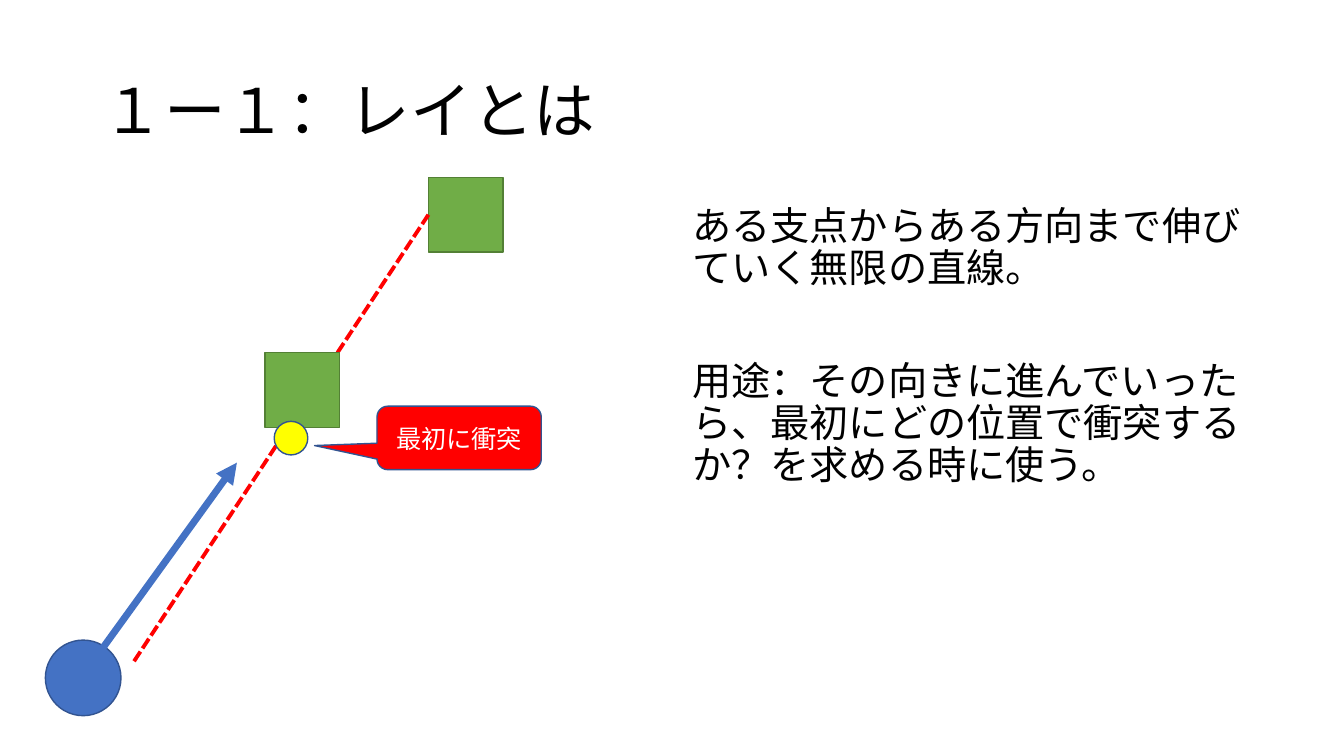
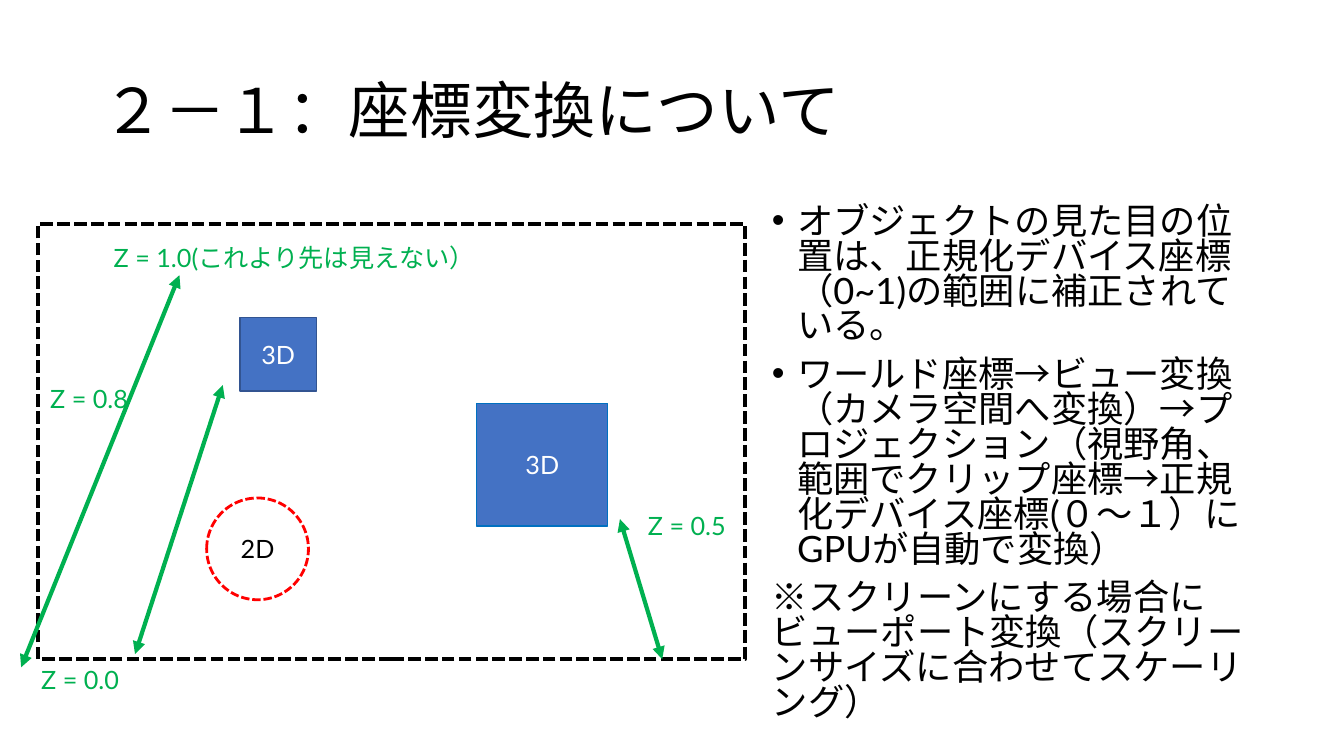
from dataclasses import dataclass

from lxml import etree
from pptx import Presentation
from pptx import util as u
from pptx.dml.color import RGBColor
from pptx.enum import dml, shapes, text
from pptx.oxml.ns import qn

ROWS = 22.5
WIDTH, HEIGHT = u.Inches(13.333), u.Inches(7.5)
CELL = HEIGHT / ROWS

FONT = "Lato"
BLACK = RGBColor(0x00, 0x00, 0x00)
WHITE = RGBColor(0xFF, 0xFF, 0xFF)
BLUE = RGBColor(0x44, 0x72, 0xC4)
BLUE_EDGE = RGBColor(0x32, 0x54, 0x91)
BRIGHT_EDGE = RGBColor(0x00, 0x70, 0xC0)
RED = RGBColor(0xFF, 0x00, 0x00)
YELLOW = RGBColor(0xFF, 0xFF, 0x00)
LEAF = RGBColor(0x70, 0xAD, 0x47)
LEAF_EDGE = RGBColor(0x53, 0x80, 0x35)
DEPTH_GREEN = RGBColor(0x00, 0xB0, 0x50)

SHAPE = shapes.MSO_SHAPE
DASH = dml.MSO_LINE.SQUARE_DOT
LABEL_SIZE = 18


@dataclass
class Box:
    """A region of the slide, measured in grid cells."""
    left: float
    top: float
    width: float
    height: float

    def inner(self, left, top, width, height):
        return Box(self.left + left, self.top + top, width, height)

    def point(self, x, y):
        return cells(self.left + x), cells(self.top + y)

    def frame(self):
        return [cells(n) for n in (self.left, self.top, self.width, self.height)]


TITLE_BOX = Box(2.76, 1.2, 34.5, 4.35)


def cells(count):
    return u.Emu(round(count * CELL))


def add_run(paragraph, words, size, color):
    run = paragraph.add_run()
    run.text = words
    run.font.name = FONT
    run.font.size = u.Pt(size)
    run.font.color.rgb = color


def add_text(slide, box, paragraphs, size, color=BLACK, spacing=1.0,
             anchor=text.MSO_ANCHOR.TOP):
    """Paragraphs are (words, space before, bulleted)."""
    frame = slide.shapes.add_textbox(*box.frame()).text_frame
    frame.word_wrap = True
    frame.vertical_anchor = anchor
    for index, (words, before, bulleted) in enumerate(paragraphs):
        paragraph = frame.add_paragraph() if index else frame.paragraphs[0]
        paragraph.line_spacing = spacing
        paragraph.space_before = u.Pt(before)
        if bulleted:
            add_bullet(paragraph)
        add_run(paragraph, words, size, color)


def add_bullet(paragraph):
    properties = paragraph._p.get_or_add_pPr()
    indent = u.Inches(0.25)
    properties.set("marL", str(indent))
    properties.set("indent", str(-indent))
    etree.SubElement(properties, qn("a:buFont"), typeface="Arial")
    etree.SubElement(properties, qn("a:buChar"), char="•")


def add_figure(slide, kind, box, fill, edge, weight=1, dash=None,
               words="", color=WHITE):
    shape = slide.shapes.add_shape(kind, *box.frame())
    shape.shadow.inherit = False
    if fill is None:
        shape.fill.background()
    else:
        shape.fill.solid()
        shape.fill.fore_color.rgb = fill
    shape.line.color.rgb = edge
    shape.line.width = u.Pt(weight)
    if dash:
        shape.line.dash_style = dash
    if words:
        frame = shape.text_frame
        frame.vertical_anchor = text.MSO_ANCHOR.MIDDLE
        frame.paragraphs[0].alignment = text.PP_ALIGN.CENTER
        add_run(frame.paragraphs[0], words, LABEL_SIZE, color)
    return shape


def add_line(slide, start, end, color, weight, dash=None, arrowheads=()):
    """Arrowheads may name headEnd (at start) and tailEnd (at end), in that order."""
    line = slide.shapes.add_connector(shapes.MSO_CONNECTOR.STRAIGHT, *start, *end)
    line.line.color.rgb = color
    line.line.width = u.Pt(weight)
    if dash:
        line.line.dash_style = dash
    for name in arrowheads:
        etree.SubElement(line.line._get_or_add_ln(), qn(f"a:{name}"), type="triangle")
    etree.SubElement(line._element.spPr, qn("a:effectLst"))
    return line


def add_titled_slide(presentation, title):
    slide = presentation.slides.add_slide(presentation.slide_layouts[6])
    add_text(slide, TITLE_BOX, [(title, 0, False)], 44, spacing=0.9,
             anchor=text.MSO_ANCHOR.MIDDLE)
    return slide


def draw_ray(slide, box):
    """A ray from the source circle that meets the near target first."""
    target = 2.22
    add_figure(slide, SHAPE.OVAL, box.inner(0, 13.77, 2.25, 2.25), BLUE, BLUE_EDGE)
    add_line(slide, box.point(1.62, 14.13), box.point(5.7, 8.49), BLUE, 5,
             arrowheads=["tailEnd"])
    far_target = add_figure(slide, SHAPE.RECTANGLE, box.inner(11.4, 0, target, target),
                            LEAF, LEAF_EDGE)
    ray = add_line(slide, box.point(2.64, 14.4), box.point(11.4, target / 2),
                   RED, 2.75, DASH)
    ray.end_connect(far_target, 1)
    add_figure(slide, SHAPE.RECTANGLE, box.inner(6.54, 5.22, target, target),
               LEAF, LEAF_EDGE)
    callout = add_figure(slide, SHAPE.ROUNDED_RECTANGULAR_CALLOUT,
                         box.inner(9.87, 6.81, 4.89, 1.89), RED, BLUE_EDGE,
                         words="最初に衝突")
    for index, value in enumerate((-0.88, 0.12, 0.17)):
        callout.adjustments[index] = value
    add_figure(slide, SHAPE.OVAL, box.inner(6.81, 7.26, 1, 1), YELLOW, BLUE_EDGE)


def draw_depth_space(slide, box):
    """The visible volume, its objects and their depths."""
    add_figure(slide, SHAPE.RECTANGLE, box, None, BLACK, 3, DASH)
    add_figure(slide, SHAPE.OVAL, box.inner(5.01, 8.16, 3.03, 3.03), None, RED, 2,
               DASH, "2D", BLACK)
    for place, edge in (((6, 2.79, 2.28, 2.19), BLUE_EDGE),
                        ((13.05, 5.34, 3.9, 3.66), BRIGHT_EDGE)):
        add_figure(slide, SHAPE.RECTANGLE, box.inner(*place), BLUE, edge, words="3D")
    for start, end in (((17.31, 8.79), (18.57, box.height)),
                       ((5.49, 4.8), (2.88, 12.81)),
                       ((4.2, 1.53), (-0.51, 13.2))):
        add_line(slide, box.point(*start), box.point(*end), DEPTH_GREEN, 3,
                 arrowheads=["headEnd", "tailEnd"])
    for words, left, top, width in (
            ("Z = 0.0", -0.21, box.height, 2.94),
            ("Z = 1.0(これより先は見えない）", 1.95, 0.39, 11.37),
            ("Z = 0.8", 0.06, 4.59, 2.94),
            ("Z = 0.5", 17.85, 8.37, 2.94)):
        add_text(slide, box.inner(left, top, width, 1.2), [(words, 0, False)],
                 LABEL_SIZE, DEPTH_GREEN)


def build_ray_slide(presentation):
    slide = add_titled_slide(presentation, "１ー１：レイとは")
    add_text(slide, Box(20.31, 6, 16.95, 14.28), [
        ("ある支点からある方向まで伸びていく無限の直線。", 10, False),
        ("用途：その向きに進んでいったら、最初にどの位置で衝突するか？を求める時に使う。",
         50, False),
    ], 28, spacing=0.9)
    draw_ray(slide, Box(1.35, 5.28, 14.76, 16.02))


def build_transform_slide(presentation):
    slide = add_titled_slide(presentation, "２－１：座標変換について")
    add_text(slide, Box(22.68, 6, 15.21, 15.84), [
        ("オブジェクトの見た目の位置は、正規化デバイス座標（0~1)の範囲に補正されている。",
         10, True),
        ("ワールド座標→ビュー変換（カメラ空間へ変換）→プロジェクション（視野角、"
         "範囲でクリップ座標→正規化デバイス座標(０～１）にGPUが自動で変換）", 10, True),
        ("※スクリーンにする場合にビューポート変換（スクリーンサイズに合わせてスケーリング）",
         10, False),
    ], 25.9, spacing=0.8)
    draw_depth_space(slide, Box(1.14, 6.66, 21.03, 12.96))


def main():
    presentation = Presentation()
    presentation.slide_width, presentation.slide_height = WIDTH, HEIGHT
    build_ray_slide(presentation)
    build_transform_slide(presentation)
    presentation.save("out.pptx")


if __name__ == "__main__":
    main()
